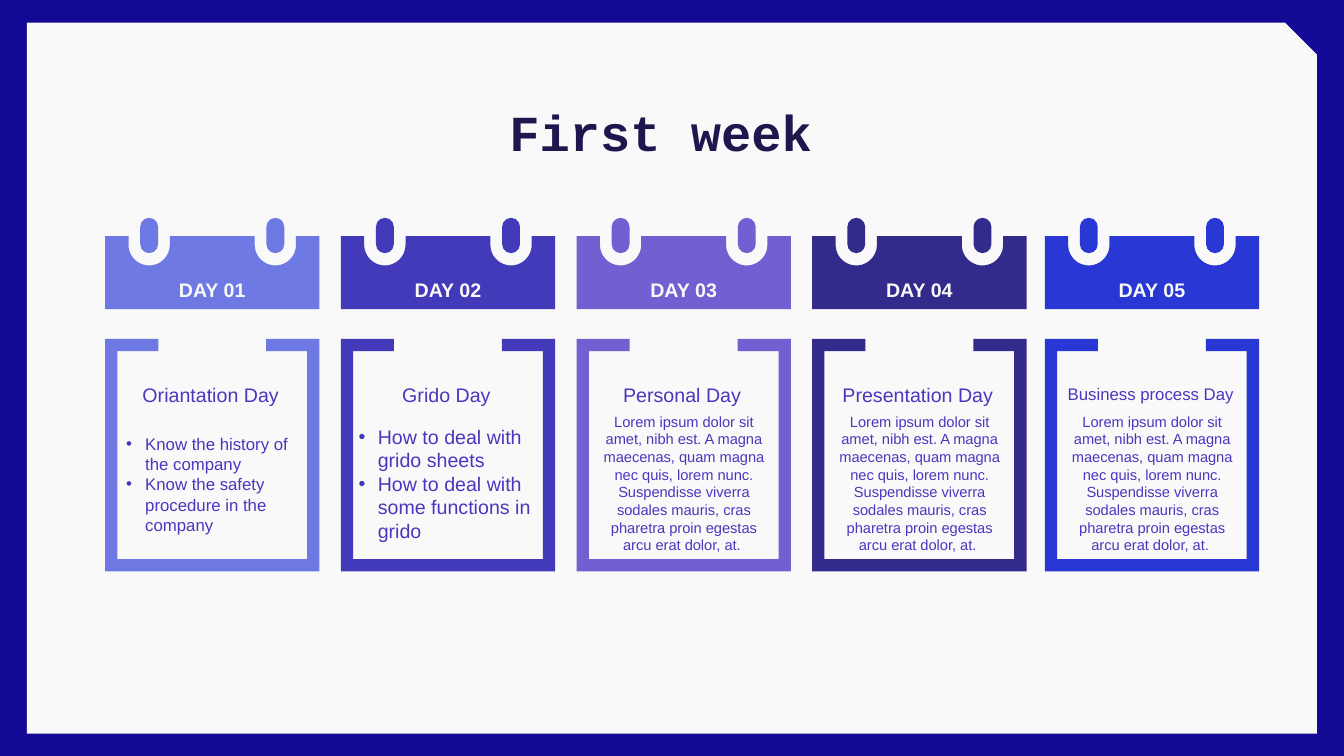
from dataclasses import dataclass
from math import cos, pi, sin

from lxml.etree import SubElement
from pptx import Presentation
from pptx.dml.color import RGBColor
from pptx.enum.shapes import MSO_SHAPE
from pptx.enum.text import MSO_ANCHOR, MSO_AUTO_SIZE, PP_ALIGN
from pptx.oxml.ns import qn
from pptx.util import Cm, Pt


@dataclass(frozen=True)
class Theme:
    border: str = "130994"
    paper: str = "F9F9F9"
    title: str = "1F164D"
    text: str = "4C36BD"
    bullet: str = "433ABA"
    title_font: str = "Courier New"
    text_font: str = "Arial"
    title_size: float = 36
    day_size: float = 14
    lorem_size: float = 10.5


@dataclass(frozen=True)
class Box:
    left: float
    top: float
    width: float
    height: float


@dataclass(frozen=True)
class Day:
    left: float
    color: str
    heading: str
    heading_size: float = 14
    heading_width: float = 4.22


@dataclass(frozen=True)
class TaskList:
    box: Box
    size: float
    items: tuple[str, ...]


THEME = Theme()
LOREM = (
    "Lorem ipsum dolor sit amet, nibh est. A magna maecenas, quam magna nec quis, "
    "lorem nunc. Suspendisse viverra sodales mauris, cras pharetra proin egestas "
    "arcu erat dolor, at. "
)
DAYS = (
    Day(2.65, "6F79E3", "Oriantation Day "),
    Day(8.59, "433ABA", "Grido Day "),
    Day(14.53, "725FD1", "Personal Day "),
    Day(20.47, "322B8B", "Presentation Day "),
    Day(26.33, "2938D4", "Business process Day ", 12, 4.83),
)
TASK_LISTS = (
    TaskList(Box(3.18, 10.8, 4.39, 2.82), 12,
             ("Know the history of the company", "Know the safety procedure in the company")),
    TaskList(Box(9.04, 10.57, 4.5, 3.25), 14,
             ("How to deal with grido sheets", "How to deal with some functions in grido")),
)

# Calendar card measures, in centimetres
CARD_WIDTH = 5.4
HEADER_TOP, HEADER_BOTTOM = 5.95, 7.79
PIN_INSET, PIN_TOP, PIN_WIDTH, PIN_HEIGHT = 1.11, 5.49, 0.45, 0.89
NOTCH_RADIUS, NOTCH_CENTER = 0.52, 6.17
FRAME_TOP, FRAME_BOTTOM, FRAME_BAR, FRAME_ARM = 8.54, 14.4, 0.31, 1.34
PIN_CENTERS = (PIN_INSET, CARD_WIDTH - PIN_INSET)


def place(shape, box: Box) -> None:
    shape.left, shape.top = Cm(box.left), Cm(box.top)
    shape.width, shape.height = Cm(box.width), Cm(box.height)


def paint(shape, color: str) -> None:
    shape.fill.solid()
    shape.fill.fore_color.rgb = RGBColor.from_string(color)
    shape.line.fill.background()
    shape.shadow.inherit = False


def style(para, size: float, color: str, font: str = THEME.text_font, bold: bool = False) -> None:
    for span in para.runs:
        span.font.size = Pt(size)
        span.font.name = font
        span.font.bold = bold
        span.font.color.rgb = RGBColor.from_string(color)


def set_margins(frame, side: float, top: float, bottom: float) -> None:
    frame.word_wrap = True
    frame.margin_left = frame.margin_right = Cm(side)
    frame.margin_top, frame.margin_bottom = Cm(top), Cm(bottom)


def add_preset(page, kind: MSO_SHAPE, box: Box, color: str, adjustment: float):
    shape = page.shapes.add_shape(
        kind, Cm(box.left), Cm(box.top), Cm(box.width), Cm(box.height))
    shape.adjustments[0] = adjustment
    paint(shape, color)
    return shape


def add_outline(page, left: float, points: list[tuple[float, float]], color: str):
    corners = [(Cm(left + x), Cm(y)) for x, y in points]
    builder = page.shapes.build_freeform(*corners[0])
    builder.add_line_segments(corners[1:], close=True)
    shape = builder.convert_to_shape()
    paint(shape, color)
    return shape


def add_centered_text(page, box: Box, text: str, size: float) -> None:
    textbox = page.shapes.add_textbox(
        Cm(box.left), Cm(box.top), Cm(box.width), Cm(box.height))
    frame = textbox.text_frame
    set_margins(frame, 0, 0.13, 0.13)
    frame.auto_size = MSO_AUTO_SIZE.SHAPE_TO_FIT_TEXT
    frame.text = text
    para = frame.paragraphs[0]
    para.alignment = PP_ALIGN.CENTER
    style(para, size, THEME.text)


def notch(center: float) -> list[tuple[float, float]]:
    """Points of the round cut-out around a pin, from left to right."""
    steps = 24
    arc = [(center - NOTCH_RADIUS * cos(pi * step / steps),
            NOTCH_CENTER + NOTCH_RADIUS * sin(pi * step / steps))
           for step in range(steps + 1)]
    return [(center - NOTCH_RADIUS, HEADER_TOP), *arc, (center + NOTCH_RADIUS, HEADER_TOP)]


def add_day(page, number: int, day: Day) -> None:
    # Header with its day label
    header_points = [(0, HEADER_TOP)]
    for center in PIN_CENTERS:
        header_points += notch(center)
    header_points += [(CARD_WIDTH, HEADER_TOP), (CARD_WIDTH, HEADER_BOTTOM), (0, HEADER_BOTTOM)]
    header = add_outline(page, day.left, header_points, day.color)
    frame = header.text_frame
    set_margins(frame, 0.18, 0.1, 0.19)
    frame.vertical_anchor = MSO_ANCHOR.BOTTOM
    frame.text = f"DAY {number:02}"
    frame.paragraphs[0].alignment = PP_ALIGN.CENTER
    style(frame.paragraphs[0], THEME.day_size, THEME.paper, bold=True)

    # Pins
    for center in PIN_CENTERS:
        pin = Box(day.left + center - PIN_WIDTH / 2, PIN_TOP, PIN_WIDTH, PIN_HEIGHT)
        add_preset(page, MSO_SHAPE.ROUNDED_RECTANGLE, pin, day.color, 0.5)

    # Open frame, left half mirrored to the right
    inner_top, inner_bottom = FRAME_TOP + FRAME_BAR, FRAME_BOTTOM - FRAME_BAR
    left_half = [(0, FRAME_BOTTOM), (0, FRAME_TOP), (FRAME_ARM, FRAME_TOP),
                 (FRAME_ARM, inner_top), (FRAME_BAR, inner_top), (FRAME_BAR, inner_bottom)]
    right_half = [(CARD_WIDTH - x, y) for x, y in reversed(left_half)]
    add_outline(page, day.left, left_half + right_half, day.color)

    # Heading
    heading_left = day.left + 0.03 + (CARD_WIDTH - day.heading_width) / 2
    add_centered_text(page, Box(heading_left, 9.53, day.heading_width, 0.86),
                      day.heading, day.heading_size)


def fill_list(holder, tasks: TaskList) -> None:
    place(holder, tasks.box)
    frame = holder.text_frame
    set_margins(frame, 0, 0.13, 0.13)
    frame.auto_size = MSO_AUTO_SIZE.NONE
    frame.text = "\n".join(tasks.items)
    for para in frame.paragraphs:
        props = para._p.get_or_add_pPr()
        props.set("marL", str(Cm(0.48)))
        props.set("indent", str(-Cm(0.48)))
        SubElement(SubElement(props, qn("a:buClr")), qn("a:srgbClr"), val=THEME.bullet)
        SubElement(props, qn("a:buFont"), typeface=THEME.text_font)
        SubElement(props, qn("a:buChar"), char="•")
        para.space_before = Pt(0)
        style(para, tasks.size, THEME.text)


def main() -> None:
    deck = Presentation()
    deck.slide_width, deck.slide_height = Cm(33.87), Cm(19.05)
    page = deck.slides.add_slide(deck.slide_layouts[3])
    title, *list_holders = page.placeholders

    # Border and paper panel, behind everything else
    page.background.fill.solid()
    page.background.fill.fore_color.rgb = RGBColor.from_string(THEME.border)
    panel = add_preset(page, MSO_SHAPE.SNIP_1_RECTANGLE, Box(0.68, 0.57, 32.51, 17.92),
                       THEME.paper, 0.045)
    title.element.addprevious(panel.element)

    # Title
    place(title, Box(2.39, 2.08, 28.52, 2.13))
    frame = title.text_frame
    set_margins(frame, 0.25, 0.25, 0.25)
    frame.auto_size = MSO_AUTO_SIZE.NONE
    frame.vertical_anchor = MSO_ANCHOR.TOP
    frame.text = "First week"
    frame.paragraphs[0].alignment = PP_ALIGN.CENTER
    frame.paragraphs[0].line_spacing = 1.15
    style(frame.paragraphs[0], THEME.title_size, THEME.title, THEME.title_font, bold=True)

    # Day cards: the first ones hold lists, the others plain text
    for number, day in enumerate(DAYS, start=1):
        add_day(page, number, day)
    for holder, tasks in zip(list_holders, TASK_LISTS):
        fill_list(holder, tasks)
    for day in DAYS[len(TASK_LISTS):]:
        add_centered_text(page, Box(day.left + 0.6, 10.27, 4.22, 3.84), LOREM, THEME.lorem_size)

    deck.save("out.pptx")


if __name__ == "__main__":
    main()
